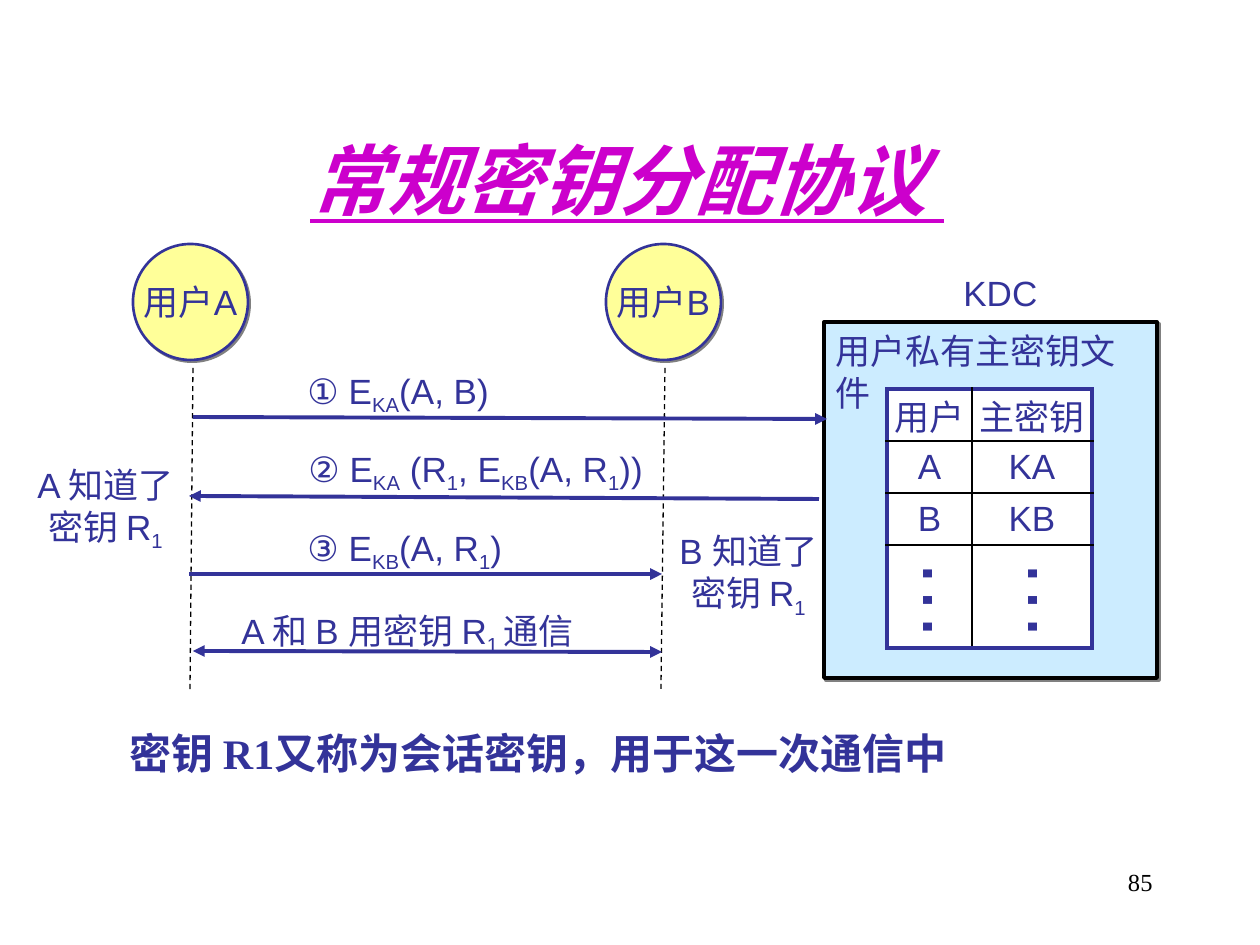
"""Build the slide on the conventional key distribution protocol."""
from dataclasses import dataclass

from lxml.etree import SubElement
from pptx import Presentation
from pptx.dml.color import RGBColor
from pptx.enum.dml import MSO_LINE
from pptx.enum.shapes import MSO_CONNECTOR, MSO_SHAPE
from pptx.enum.text import MSO_ANCHOR, MSO_AUTO_SIZE, PP_ALIGN
from pptx.oxml.ns import qn
from pptx.util import Pt


@dataclass(frozen=True)
class Theme:
    ink: str = "333399"
    title: str = "CC00CC"
    user: str = "FFFF99"
    store: str = "CCECFF"
    white: str = "FFFFFF"
    black: str = "000000"
    shade: str = "808080"
    sans: str = "Arial"
    serif: str = "Times New Roman"
    head: int = 44
    dots: int = 48
    note: int = 24
    body: int = 20
    page: int = 14


T = Theme()
LEFT, MID, RIGHT = PP_ALIGN.LEFT, PP_ALIGN.CENTER, PP_ALIGN.RIGHT
TITLE = "常规密钥分配协议 "
USERS = [("用户A", 133), ("用户B", 606)]
LIVES = [(193, 368, 190, 690), (665, 368, 661, 689)]
STORE = (824, 322, 333, 356)
GRID = (887, 389)
COLS = [85, 120]
ROWS = [52, 52, 52, 103]
KEYS = [("用户", "主密钥"), ("A", "KA"), ("B", "KB"), ("", "")]
RULES = [1.5, 0.75, 0.75]
DOTS = [845, 950]
STEPS = [
    ("① E_KA_(A, B)", (295, 363, 210, 60), (193, 417, 827, 419), ["tail"]),
    ("② E_KA_ (R_1_, E_KB_(A, R_1_))", (296, 441, 363, 60), (189, 496, 819, 499), ["head"]),
    ("③ E_KB_(A, R_1_)", (295, 520, 223, 60), (189, 574, 662, 574), ["tail"]),
    ("A 和 B 用密钥 R_1 _通信", (229, 603, 406, 60), (193, 651, 662, 652), ["head", "tail"]),
]
NOTES = [
    (["KDC"], (951, 265, 100, 55), LEFT, 1),
    (["用户私有主密钥文件"], (823, 323, 340, 55), LEFT, 1),
    (["A 知道了", "密钥 R_1_"], (20, 457, 171, 103), MID, 1),
    (["B 知道了", "密钥 R_1_"], (663, 528, 171, 93), MID, 0.9),
]
CLOSE = "密钥 R1又称为会话密钥，用于这一次通信中"


def px(num):
    return round(num * 914400 / 126)


def tint(name):
    return RGBColor.from_string(name)


def style(font, size=T.body, face=T.sans, color=T.ink, bold=False):
    font.size, font.name, font.bold = Pt(size), face, bold
    font.color.rgb = tint(color)


def write(frame, lines, align=LEFT, space=1, **look):
    for pos, line in enumerate(lines):
        para = frame.add_paragraph() if pos else frame.paragraphs[0]
        para.alignment, para.line_spacing = align, space
        for part, words in enumerate(line.split("_")):
            if words:
                run = para.add_run()
                run.text = words
                style(run.font, **look)
                if part % 2:
                    run._r.get_or_add_rPr().set("baseline", "-25000")


def label(lines, box, align=LEFT, space=1, wrap=False, **look):
    shape = slide.shapes.add_textbox(*map(px, box))
    frame = shape.text_frame
    frame.word_wrap = wrap
    frame.auto_size = MSO_AUTO_SIZE.NONE if wrap else MSO_AUTO_SIZE.SHAPE_TO_FIT_TEXT
    write(frame, lines, align, space, **look)
    return shape


def block(kind, box, fill, edge, width):
    shape = slide.shapes.add_shape(kind, *map(px, box))
    shape.shadow.inherit = False
    shape.fill.solid()
    shape.fill.fore_color.rgb = tint(fill)
    shape.line.color.rgb = tint(edge)
    shape.line.width = Pt(width)
    list_ = shape._element.spPr.find(qn("a:effectLst"))
    drop = SubElement(list_, qn("a:outerShdw"), dist="17961", dir="2700000")
    SubElement(drop, qn("a:srgbClr"), val=T.shade)
    return shape


def link(ends, color, width, heads=(), dash=False):
    line = slide.shapes.add_connector(MSO_CONNECTOR.STRAIGHT, *map(px, ends))
    line.line.color.rgb = tint(color)
    line.line.width = Pt(width)
    if dash:
        line.line.dash_style = MSO_LINE.DASH
    for end in heads:
        SubElement(line.line._get_or_add_ln(), qn(f"a:{end}End"), type="triangle")
    SubElement(line._element.spPr, qn("a:effectLst"))


def border(cell, side, color, width):
    edge = SubElement(cell._tc.get_or_add_tcPr(), qn(f"a:ln{side}"), w=str(Pt(width)))
    SubElement(SubElement(edge, qn("a:solidFill")), qn("a:srgbClr"), val=color)


def key_table():
    size = (sum(COLS), sum(ROWS))
    table = slide.shapes.add_table(len(ROWS), len(COLS), *map(px, GRID + size)).table
    table.first_row = table.horz_banding = False
    for col, wide in zip(table.columns, COLS):
        col.width = px(wide)
    frame, split = (T.ink, 2.25), (T.black, 1.5)
    rules = [frame] + [(T.black, width) for width in RULES] + [frame]
    for r, (row, high) in enumerate(zip(table.rows, ROWS)):
        row.height = px(high)
        for c, cell in enumerate(row.cells):
            cell.margin_left = cell.margin_right = 0
            cell.margin_top = cell.margin_bottom = 0
            cell.vertical_anchor = MSO_ANCHOR.MIDDLE
            write(cell.text_frame, [KEYS[r][c]], MID)
            border(cell, "L", *(split if c else frame))
            border(cell, "R", *(frame if c else split))
            border(cell, "T", *rules[r])
            border(cell, "B", *rules[r + 1])
            cell.fill.solid()
            cell.fill.fore_color.rgb = tint(T.white)


deck = Presentation()
deck.slide_width, deck.slide_height = px(1260), px(945)
slide = deck.slides.add_slide(deck.slide_layouts[5])

title = slide.shapes.title
title.left, title.top, title.width, title.height = map(px, (159, 29, 937, 202))
title.text_frame.text = TITLE
title.text_frame.auto_size = MSO_AUTO_SIZE.NONE
title.text_frame.vertical_anchor = MSO_ANCHOR.BOTTOM
font = title.text_frame.paragraphs[0].runs[0].font
style(font, T.head, T.serif, T.title, True)
font.italic = font.underline = True

block(MSO_SHAPE.RECTANGLE, STORE, T.store, T.black, 2.25)
key_table()
for left in DOTS:
    label(["…"], (left, 544, 108, 113), size=T.dots).rotation = 270
for name, left in USERS:
    disc = block(MSO_SHAPE.OVAL, (left, 244, 115, 116), T.user, T.ink, 1.5)
    disc.text_frame.word_wrap = False
    disc.text_frame.vertical_anchor = MSO_ANCHOR.MIDDLE
    write(disc.text_frame, [name], MID)
for ends in LIVES:
    link(ends, T.black, 0.75, dash=True)
for text, box, ends, heads in STEPS:
    label([text], box)
    link(ends, T.ink, 2.25, heads)
for lines, box, align, space in NOTES:
    label(lines, box, align, space)
label([CLOSE], (117, 721, 862, 63), size=T.note, face=T.serif, bold=True)
label(["85"], (903, 861, 262, 63), RIGHT, wrap=True, size=T.page, face=T.serif, color=T.black)

deck.save("out.pptx")
